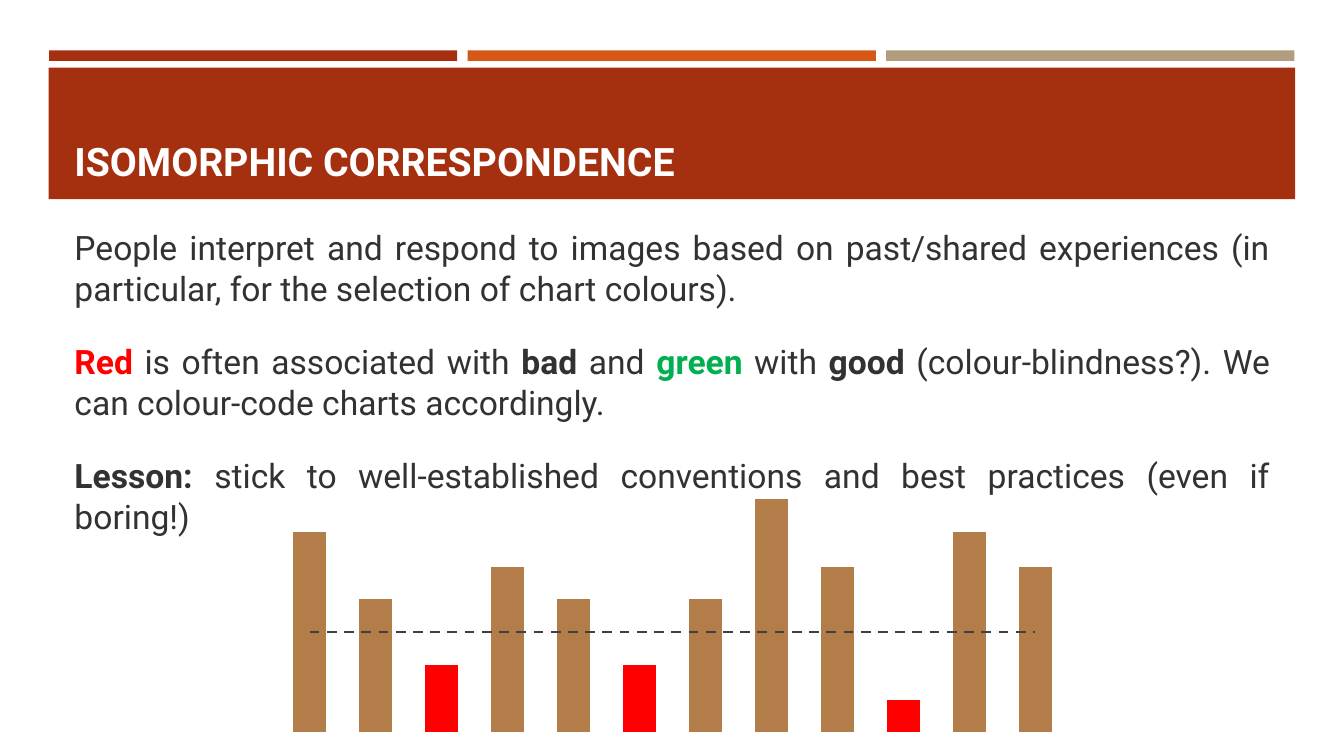
from dataclasses import dataclass
from lxml.etree import SubElement
from pptx import Presentation
from pptx.chart.data import CategoryChartData
from pptx.dml.color import RGBColor
from pptx.enum.chart import XL_CHART_TYPE, XL_MARKER_STYLE
from pptx.enum.dml import MSO_LINE
from pptx.enum.shapes import MSO_SHAPE
from pptx.enum.text import MSO_ANCHOR, MSO_AUTO_SIZE, PP_ALIGN
from pptx.oxml import parse_xml
from pptx.oxml.ns import nsdecls, qn
from pptx.util import Pt


@dataclass(frozen=True)
class Theme:
    """Colours, fonts and type sizes of the slide."""
    rust: str = "A5300F"
    orange: str = "D55816"
    sand: str = "B19C7D"
    bar: str = "B27D49"
    red: str = "FF0000"
    green: str = "00B050"
    ink: str = "323232"
    dash: str = "404040"
    white: str = "FFFFFF"
    black: str = "000000"
    font: str = "Roboto"
    chart_font: str = "Cabin"
    title_size: float = 28
    body_size: float = 24
    chart_size: float = 10


THEME = Theme()
TITLE = "ISOMORPHIC CORRESPONDENCE"
BOLD = {"bold": True}
PARAGRAPHS = [
    [("People interpret and respond to images based on past/shared experiences "
      "(in particular, for the selection of chart colours).", {})],
    [("Red", {"bold": True, "color": THEME.red}), (" is often associated with ", {}),
     ("bad", BOLD), (" and ", {}), ("green", {"bold": True, "color": THEME.green}),
     (" with ", {}), ("good", BOLD),
     (" (colour-blindness?). We can colour-code charts accordingly.", {})],
    [("Lesson:", BOLD),
     (" stick to well-established conventions and best practices (even if boring!)", {})],
]
VALUES = [86, 57, 29, 71, 57, 29, 57, 100, 71, 14, 86, 71]
THRESHOLD = 43
STRIPES = [THEME.rust, THEME.orange, THEME.sand]
STRIPE_LEFT, STRIPE_WIDTH, STRIPE_PITCH = 35, 291.6, 299
TITLE_BOX = (46, 55.4, 868.4, 80)
BODY_BOX = (46, 158, 868.4, 339)
CHART_BOX = (185.8, 329, 589, 198)
PLOT_AREA = {"x": 0.02, "y": 0.14, "w": 0.96, "h": 0.84}


def rgb(color):
    """Return a colour object for a hex string."""
    return RGBColor.from_string(color)


def place(shape, left, top, width, height):
    """Move and size a shape, in points."""
    shape.left, shape.top = Pt(left), Pt(top)
    shape.width, shape.height = Pt(width), Pt(height)


def add_text(para, text, size=THEME.body_size, color=THEME.ink, bold=False):
    """Append a formatted run to a paragraph."""
    span = para.add_run()
    span.text = text
    span.font.name, span.font.size = THEME.font, Pt(size)
    span.font.bold, span.font.color.rgb = bold, rgb(color)


def add_band(page, color, *box):
    """Draw a plain filled rectangle."""
    band = page.shapes.add_shape(MSO_SHAPE.RECTANGLE, *map(Pt, box))
    band.shadow.inherit = False
    band.fill.solid()
    band.fill.fore_color.rgb = rgb(color)
    band.line.fill.background()


def prepare(box, position, anchor):
    """Move a placeholder to the front and set up its text frame."""
    place(box, *position)
    box.element.getparent().append(box.element)
    frame = box.text_frame
    frame.word_wrap, frame.auto_size = True, MSO_AUTO_SIZE.NONE
    frame.vertical_anchor = anchor
    frame.margin_left = frame.margin_right = Pt(7.2)
    frame.margin_top = frame.margin_bottom = Pt(3.6)
    return frame


def add_body(box):
    """Fill the body placeholder with justified paragraphs."""
    frame = prepare(box, BODY_BOX, MSO_ANCHOR.TOP)
    for index, spans in enumerate(PARAGRAPHS):
        para = frame.add_paragraph() if index else frame.paragraphs[0]
        para.alignment = PP_ALIGN.JUSTIFY
        para.line_spacing = Pt(29.3)
        para.space_before, para.space_after = Pt(22.8 if index else 0), Pt(0)
        properties = para._p.get_or_add_pPr()
        properties.set("marL", "0")
        properties.set("indent", "0")
        SubElement(properties, qn("a:buNone"))
        for text, style in spans:
            add_text(para, text, **style)


def move_to_line_plot(chart):
    """Turn the second column series into a line plot on the same axes."""
    columns = chart.plots[0]._element
    series = columns.findall(qn("c:ser"))[1]
    for flag in series.findall(qn("c:invertIfNegative")):
        series.remove(flag)
    lines = parse_xml(f'<c:lineChart {nsdecls("c")}><c:grouping val="standard"/>'
                      '<c:varyColors val="0"/></c:lineChart>')
    lines.append(series)
    SubElement(lines, qn("c:marker")).set("val", "1")
    for axis in columns.findall(qn("c:axId")):
        SubElement(lines, qn("c:axId")).set("val", axis.get("val"))
    columns.addnext(lines)


def set_plot_area(chart):
    """Fix the inner plot area as fractions of the chart."""
    area = chart._chartSpace.chart.plotArea
    for old in area.findall(qn("c:layout")):
        area.remove(old)
    layout = parse_xml(f'<c:layout {nsdecls("c")}><c:manualLayout>'
                       '<c:layoutTarget val="inner"/><c:xMode val="edge"/>'
                       '<c:yMode val="edge"/></c:manualLayout></c:layout>')
    for name, value in PLOT_AREA.items():
        SubElement(layout[0], qn(f"c:{name}")).set("val", str(value))
    area.insert(0, layout)


def add_bar_chart(page):
    """Add the columns, red below the dashed threshold line."""
    data = CategoryChartData()
    data.categories = [str(number) for number in range(1, len(VALUES) + 1)]
    data.add_series("Series 1", VALUES)
    data.add_series("Series 2", [THRESHOLD] * len(VALUES))
    chart = page.shapes.add_chart(
        XL_CHART_TYPE.COLUMN_CLUSTERED, *map(Pt, CHART_BOX), data).chart
    chart.has_legend = chart.has_title = False
    chart.font.name, chart.font.size = THEME.chart_font, Pt(THEME.chart_size)
    chart.font.color.rgb = rgb(THEME.black)
    for axis in (chart.category_axis, chart.value_axis):
        axis.has_major_gridlines = axis.visible = False
    chart.value_axis.minimum_scale, chart.value_axis.maximum_scale = 0, 100
    move_to_line_plot(chart)
    set_plot_area(chart)
    columns, lines = chart.plots
    columns.gap_width, columns.vary_by_categories = 100, False
    bars = columns.series[0]
    bars.format.fill.solid()
    bars.format.fill.fore_color.rgb = rgb(THEME.bar)
    for index, value in enumerate(VALUES):
        fill = bars.points[index].format.fill
        fill.solid()
        fill.fore_color.rgb = rgb(THEME.red if value < THRESHOLD else THEME.bar)
    limit = lines.series[0]
    limit.smooth = False
    limit.marker.style = XL_MARKER_STYLE.NONE
    limit.format.line.color.rgb = rgb(THEME.dash)
    limit.format.line.width = Pt(1.75)
    limit.format.line.dash_style = MSO_LINE.DASH


def main():
    """Build the slide and save it."""
    deck = Presentation()
    deck.slide_width, deck.slide_height = Pt(960), Pt(540)
    page = deck.slides.add_slide(deck.slide_layouts[1])
    for index, color in enumerate(STRIPES):
        add_band(page, color, STRIPE_LEFT + index * STRIPE_PITCH, 36, STRIPE_WIDTH, 7.5)
    add_band(page, THEME.rust, 34.8, 48.4, 890.4, 93.8)
    title = prepare(page.shapes.title, TITLE_BOX, MSO_ANCHOR.BOTTOM).paragraphs[0]
    title.alignment = PP_ALIGN.LEFT
    add_text(title, TITLE, size=THEME.title_size, color=THEME.white, bold=True)
    add_bar_chart(page)
    add_body(page.placeholders[1])
    deck.save("out.pptx")


if __name__ == "__main__":
    main()
